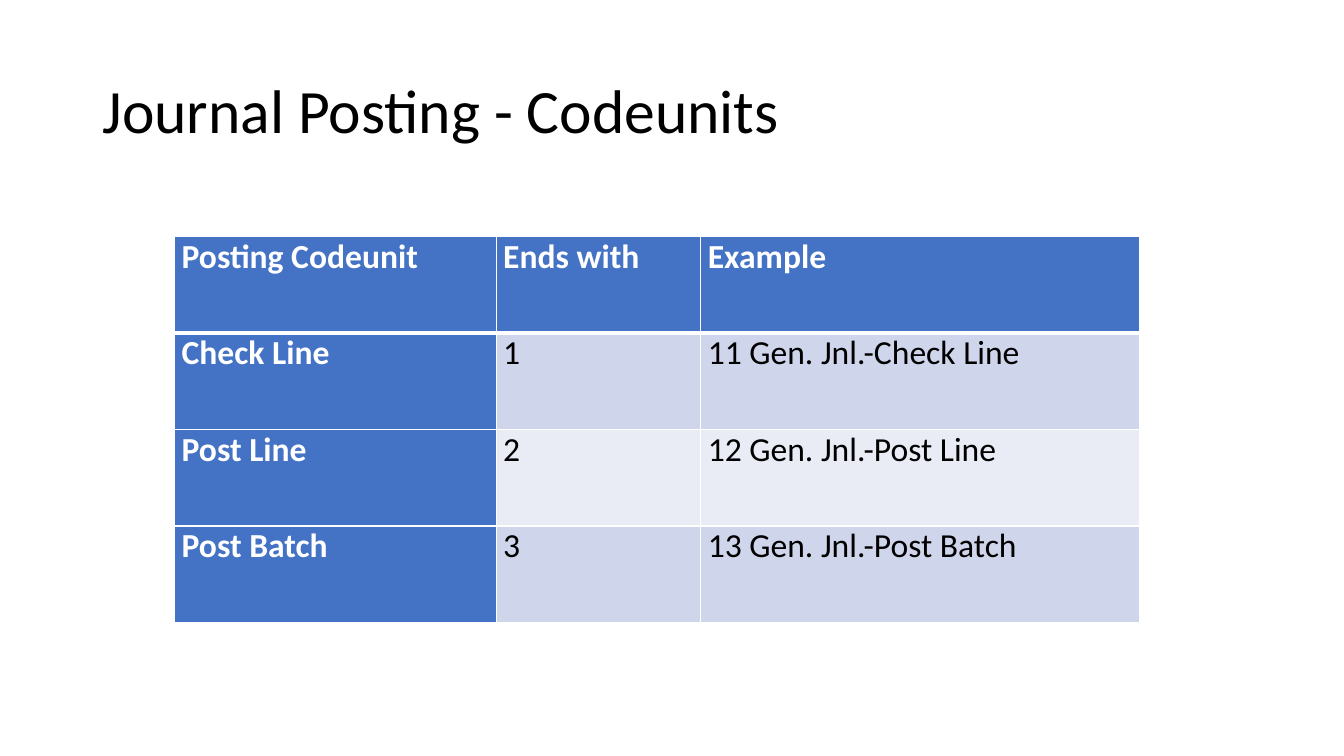
from dataclasses import dataclass

from lxml import etree
from pptx import Presentation
from pptx.dml.color import RGBColor
from pptx.enum.text import MSO_ANCHOR, MSO_AUTO_SIZE, PP_ALIGN
from pptx.oxml.ns import qn
from pptx.slide import Slide
from pptx.table import _Cell
from pptx.text.text import _Paragraph
from pptx.util import Pt

LEFT = PP_ALIGN.LEFT
TOP = MSO_ANCHOR.TOP
MIDDLE = MSO_ANCHOR.MIDDLE
NO_AUTOFIT = MSO_AUTO_SIZE.NONE
TITLE_ONLY_LAYOUT = 5


@dataclass(frozen=True)
class Theme:
    font: str = "Calibri"
    title_size: float = 44
    table_size: float = 24
    text: str = "000000"
    heading_text: str = "FFFFFF"
    heading_fill: str = "4472C4"
    bands: tuple[str, str] = ("CFD5EA", "E9EBF5")
    border: str = "FFFFFF"
    thin: float = 1
    thick: float = 3


@dataclass(frozen=True)
class PostingCodeunit:
    name: str
    ends_with: str
    example: str


THEME = Theme()
HEADINGS = PostingCodeunit("Posting Codeunit", "Ends with", "Example")
CODEUNITS = [
    PostingCodeunit("Check Line", "1", "11 Gen. Jnl.-Check Line"),
    PostingCodeunit("Post Line", "2", "12 Gen. Jnl.-Post Line"),
    PostingCodeunit("Post Batch", "3", "13 Gen. Jnl.-Post Batch"),
]
COLUMN_WIDTHS = (229.7, 146.2, 313.2)
ROW_HEIGHT = 69


def add_run(paragraph: _Paragraph, text: str, size: float, color: str, bold: bool) -> None:
    run = paragraph.add_run()
    run.text = text
    run.font.name = THEME.font
    run.font.size = Pt(size)
    run.font.bold = bold
    run.font.color.rgb = RGBColor.from_string(color)


def add_title(slide: Slide, text: str) -> None:
    title = slide.shapes.title
    title.left, title.top = Pt(66), Pt(28.75)
    title.width, title.height = Pt(828), Pt(104.4)
    frame = title.text_frame
    frame.auto_size = NO_AUTOFIT
    frame.word_wrap = True
    frame.vertical_anchor = MIDDLE
    paragraph = frame.paragraphs[0]
    paragraph.alignment = LEFT
    paragraph.line_spacing = 0.9
    add_run(paragraph, text, THEME.title_size, THEME.text, False)


def set_borders(cell: _Cell, top: float, bottom: float) -> None:
    """Draw all four cell edges; call before the fill is set, as the schema orders them."""
    properties = cell._tc.get_or_add_tcPr()
    widths = {"a:lnL": THEME.thin, "a:lnR": THEME.thin, "a:lnT": top, "a:lnB": bottom}
    for tag, width in widths.items():
        line = etree.SubElement(properties, qn(tag), w=str(Pt(width)))
        solid = etree.SubElement(line, qn("a:solidFill"))
        etree.SubElement(solid, qn("a:srgbClr"), val=THEME.border)


def format_cell(cell: _Cell, text: str, row: int, column: int) -> None:
    is_heading = row == 0 or column == 0
    set_borders(
        cell,
        top=THEME.thick if row == 1 else THEME.thin,
        bottom=THEME.thick if row == 0 else THEME.thin,
    )
    cell.fill.solid()
    fill = THEME.heading_fill if is_heading else THEME.bands[(row - 1) % 2]
    cell.fill.fore_color.rgb = RGBColor.from_string(fill)
    cell.margin_left = cell.margin_right = Pt(5)
    cell.margin_top = cell.margin_bottom = Pt(0)
    cell.vertical_anchor = TOP
    color = THEME.heading_text if is_heading else THEME.text
    add_run(cell.text_frame.paragraphs[0], text, THEME.table_size, color, is_heading)


def add_codeunit_table(slide: Slide) -> None:
    entries = [HEADINGS, *CODEUNITS]
    table = slide.shapes.add_table(
        len(entries), len(COLUMN_WIDTHS), Pt(124.75), Pt(168.75),
        Pt(sum(COLUMN_WIDTHS)), Pt(ROW_HEIGHT * len(entries)),
    ).table
    table.first_col = True
    for column, width in enumerate(COLUMN_WIDTHS):
        table.columns[column].width = Pt(width)
    for row, entry in enumerate(entries):
        table.rows[row].height = Pt(ROW_HEIGHT)
        for column, text in enumerate((entry.name, entry.ends_with, entry.example)):
            format_cell(table.cell(row, column), text, row, column)


def main() -> None:
    presentation = Presentation()
    presentation.slide_width, presentation.slide_height = Pt(960), Pt(540)
    slide = presentation.slides.add_slide(presentation.slide_layouts[TITLE_ONLY_LAYOUT])
    add_title(slide, "Journal Posting - Codeunits")
    add_codeunit_table(slide)
    presentation.save("out.pptx")


if __name__ == "__main__":
    main()
